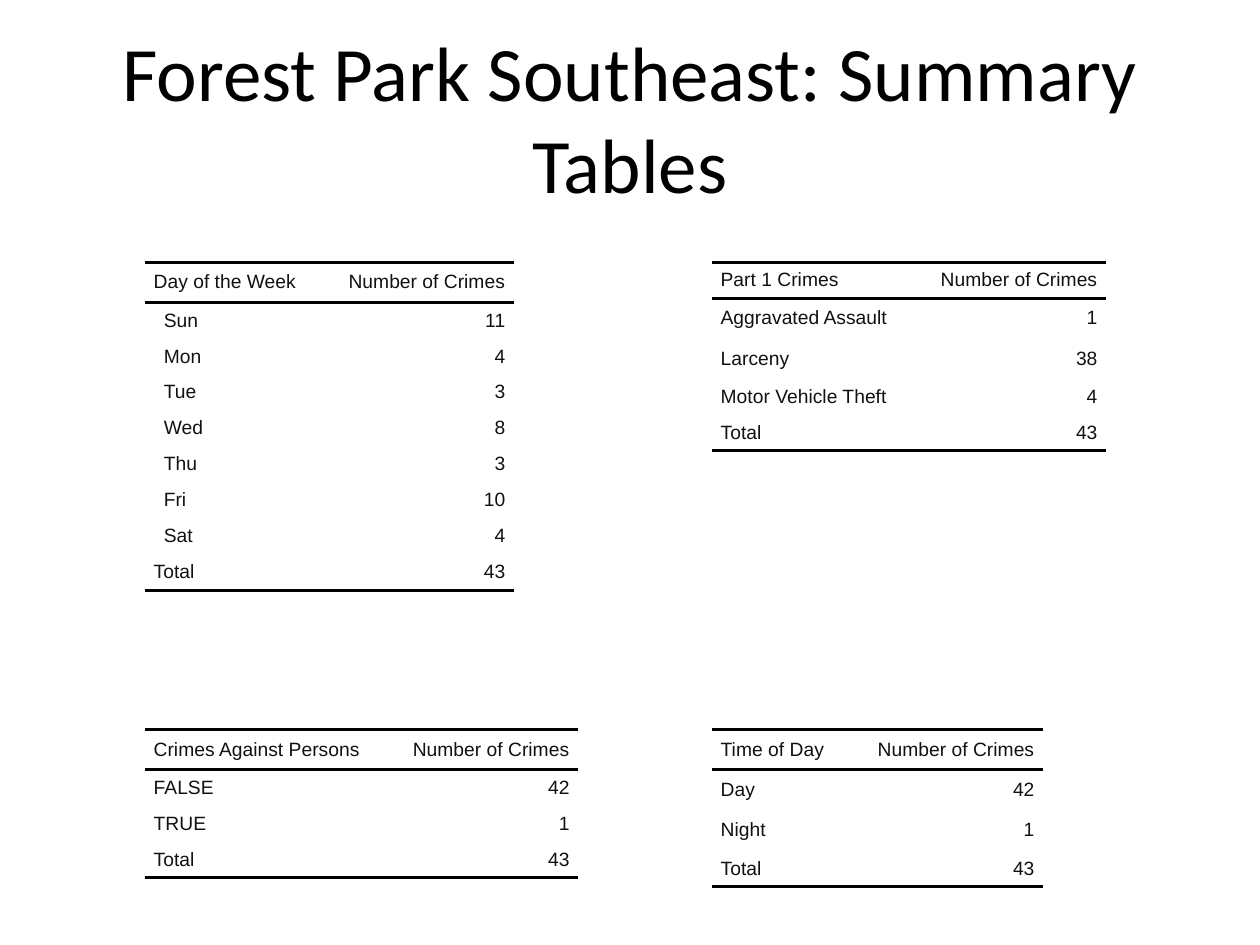
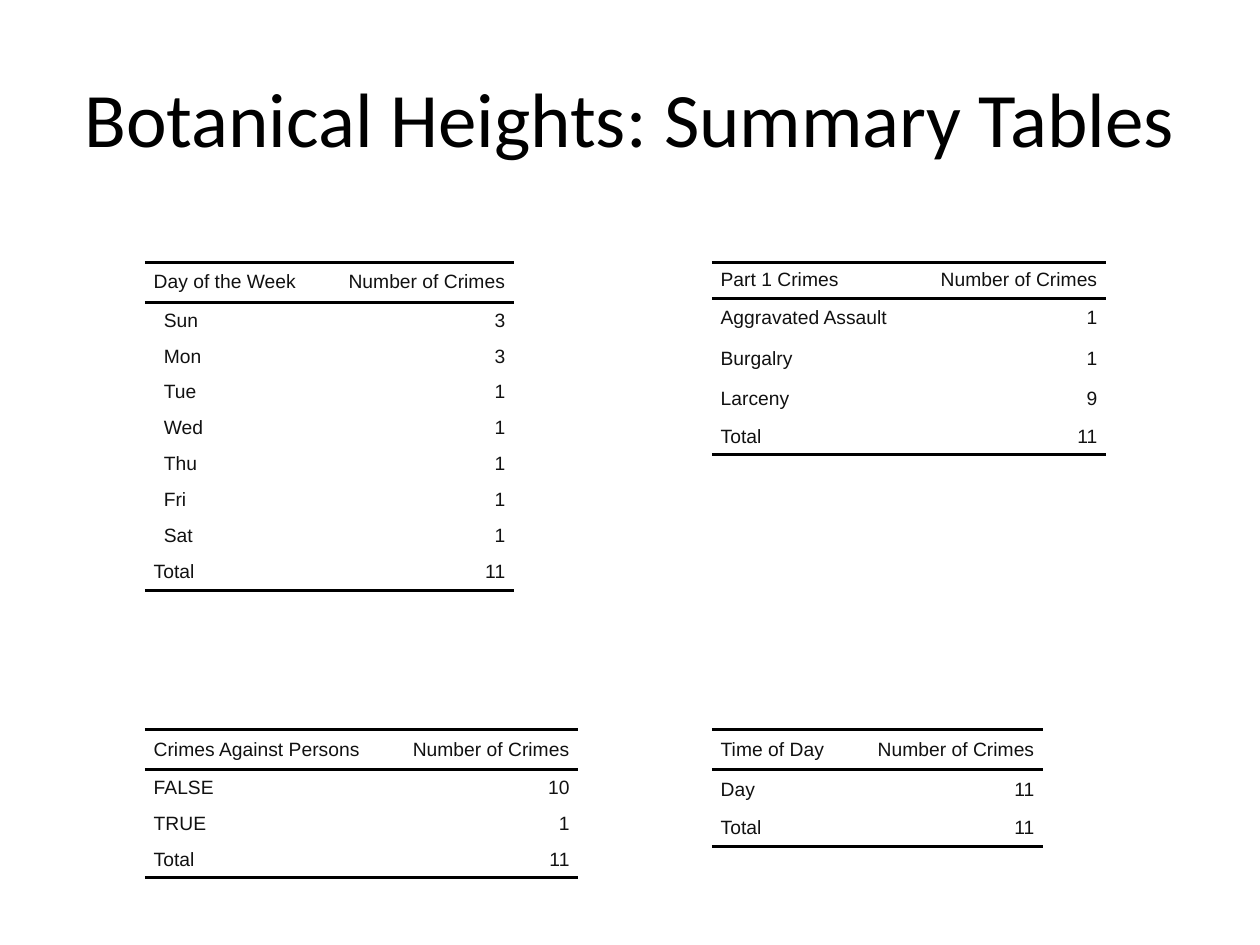
import pptx
import pptx.dml.color
import pptx.enum.text
import pptx.oxml
import pptx.oxml.ns
import pptx.util

Inches = pptx.util.Inches
Pt = pptx.util.Pt
Align = pptx.enum.text.PP_ALIGN
Anchor = pptx.enum.text.MSO_ANCHOR

COLORS = {"title": "000000", "rule": "000000", "cell": "111111"}
FONTS = {"title": "Calibri", "cell": "Arial"}
PLAIN_TABLE_STYLE = "{2D5ABB26-0587-4C30-8999-92F81FD0307C}"

LEFT_COLUMN, RIGHT_COLUMN = 1.15, 5.65
TOP_ROW, BOTTOM_ROW = 2.08, 5.79
COUNT_HEADING = "Number of Crimes"
COUNT_WIDTH = 1.52
SHORT_ROW, TALL_ROW = 2 / 7, 0.32

DAYS = ["Sun", "Mon", "Tue", "Wed", "Thu", "Fri", "Sat"]
TALL_LABELS = {"Day of the Week", "Crimes Against Persons", "Time of Day",
               "Aggravated Assault", "Burgalry", "Larceny", "Day", "Night"}

# Heading: left, top, width of the label column
TABLE_LAYOUT = {
    "Part 1 Crimes": (RIGHT_COLUMN, TOP_ROW, 1.61),
    "Day of the Week": (LEFT_COLUMN, TOP_ROW, 1.41),
    "Crimes Against Persons": (LEFT_COLUMN, BOTTOM_ROW, 1.92),
    "Time of Day": (RIGHT_COLUMN, BOTTOM_ROW, 1.11),
}

NEIGHBORHOODS = {
    "Forest Park Southeast": {
        "Part 1 Crimes": {"Aggravated Assault": 1, "Larceny": 38,
                          "Motor Vehicle Theft": 4},
        "Day of the Week": dict(zip(DAYS, [11, 4, 3, 8, 3, 10, 4])),
        "Crimes Against Persons": {"FALSE": 42, "TRUE": 1},
        "Time of Day": {"Day": 42, "Night": 1},
    },
    "Botanical Heights": {
        "Part 1 Crimes": {"Aggravated Assault": 1, "Burgalry": 1, "Larceny": 9},
        "Day of the Week": dict(zip(DAYS, [3, 3, 1, 1, 1, 1, 1])),
        "Crimes Against Persons": {"FALSE": 10, "TRUE": 1},
        "Time of Day": {"Day": 11},
    },
}


class SummaryDeck:
    def __init__(self):
        self.presentation = pptx.Presentation()
        self.presentation.slide_width = Inches(10)
        self.presentation.slide_height = Inches(7.5)
        self.slide = None

    def set_font(self, paragraph, role, size):
        paragraph.font.name = FONTS[role]
        paragraph.font.size = Pt(size)
        paragraph.font.color.rgb = pptx.dml.color.RGBColor.from_string(COLORS[role])

    def add_slide(self, title):
        layout = self.presentation.slide_layouts.get_by_name("Title Only")
        self.slide = self.presentation.slides.add_slide(layout)
        shape = self.slide.shapes.title
        shape.left, shape.top = Inches(0.5), Inches(0.3)
        shape.width, shape.height = Inches(9), Inches(1.25)
        frame = shape.text_frame
        frame.text = title
        frame.word_wrap = True
        frame.auto_size = pptx.enum.text.MSO_AUTO_SIZE.NONE
        frame.vertical_anchor = Anchor.MIDDLE
        frame.paragraphs[0].alignment = Align.CENTER
        self.set_font(frame.paragraphs[0], "title", 44)

    def add_rules(self, cell, sides):
        """Draw horizontal rules on a cell; sides are "T" and "B" in that order."""
        properties = cell._tc.get_or_add_tcPr()
        for position, side in enumerate(sides):
            line = pptx.oxml.parse_xml(
                f'<a:ln{side} {pptx.oxml.ns.nsdecls("a")} w="{Pt(2)}"><a:solidFill>'
                f'<a:srgbClr val="{COLORS["rule"]}"/></a:solidFill></a:ln{side}>')
            properties.insert(position, line)

    def fill_cell(self, cell, text, alignment, indent):
        cell.text = text
        cell.fill.background()
        cell.vertical_anchor = Anchor.MIDDLE
        cell.margin_left, cell.margin_right = Inches(indent), Inches(0.07)
        cell.margin_top = cell.margin_bottom = 0
        paragraph = cell.text_frame.paragraphs[0]
        paragraph.alignment = alignment
        self.set_font(paragraph, "cell", 11)

    def add_summary_table(self, heading, counts):
        left, top, label_width = TABLE_LAYOUT[heading]
        rows = [(heading, COUNT_HEADING), *counts.items(),
                ("Total", sum(counts.values()))]
        heights = [TALL_ROW if label in TALL_LABELS else SHORT_ROW
                   for label, _ in rows]
        table = self.slide.shapes.add_table(
            len(rows), 2, Inches(left), Inches(top),
            Inches(label_width + COUNT_WIDTH), Inches(sum(heights))).table
        table.first_row = table.horz_banding = False
        table._tbl.tblPr.find(pptx.oxml.ns.qn("a:tableStyleId")).text = PLAIN_TABLE_STYLE
        table.columns[0].width = Inches(label_width)
        table.columns[1].width = Inches(COUNT_WIDTH)

        for index, (label, count) in enumerate(rows):
            table.rows[index].height = Inches(heights[index])
            label_cell, count_cell = table.rows[index].cells
            label_indent = 0.15 if label in DAYS else 0.07
            self.fill_cell(label_cell, label, Align.LEFT, label_indent)
            self.fill_cell(count_cell, str(count), Align.RIGHT, 0.07)
            sides = {0: "TB", len(rows) - 1: "B"}.get(index, "")
            for cell in (label_cell, count_cell):
                self.add_rules(cell, sides)


def main():
    deck = SummaryDeck()
    # One slide per neighborhood, one table per breakdown
    for neighborhood, breakdowns in NEIGHBORHOODS.items():
        deck.add_slide(f"{neighborhood}: Summary Tables")
        for heading, counts in breakdowns.items():
            deck.add_summary_table(heading, counts)
    deck.presentation.save("out.pptx")


if __name__ == "__main__":
    main()
